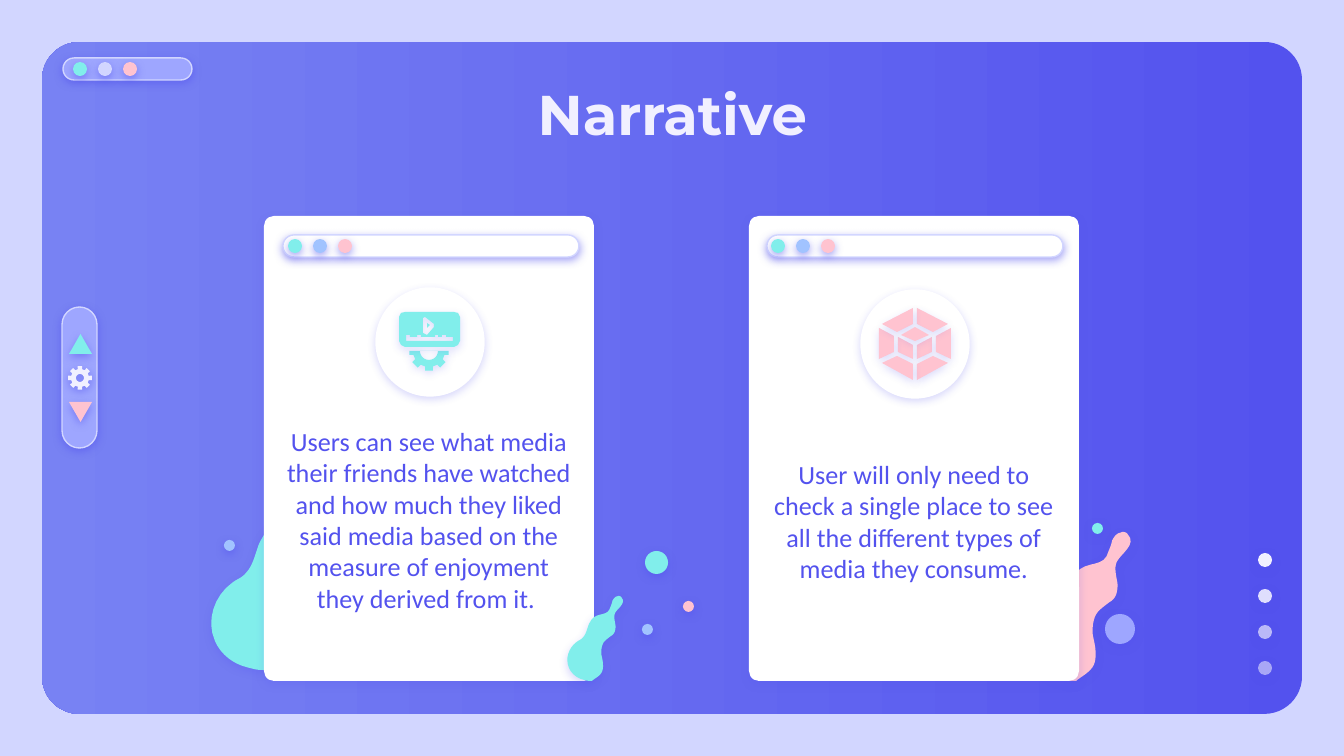
import math

from lxml import etree
from pptx import Presentation
from pptx import util as u
from pptx.dml.color import RGBColor
from pptx.enum import shapes, text
from pptx.oxml.ns import qn

PX = 914400 / 134.4
INDIGO = RGBColor(0x53, 0x52, 0xEE)
PERIWINKLE = RGBColor(0x78, 0x82, 0xF3)
LILAC = RGBColor(0x9E, 0xA6, 0xFF)
PALE = RGBColor(0xD2, 0xD6, 0xFF)
MINT = RGBColor(0x81, 0xEE, 0xEB)
PINK = RGBColor(0xFF, 0xC3, 0xD0)
SKY = RGBColor(0xA1, 0xC3, 0xFF)
IVORY = RGBColor(0xF1, 0xF0, 0xFF)
WHITE = RGBColor(0xFF, 0xFF, 0xFF)
ROUND = shapes.MSO_SHAPE.ROUNDED_RECTANGLE
OVAL = shapes.MSO_SHAPE.OVAL
TRIANGLE = shapes.MSO_SHAPE.ISOSCELES_TRIANGLE

prs = Presentation()
prs.slide_width, prs.slide_height = u.Emu(round(1344 * PX)), u.Emu(round(756 * PX))
s = prs.slides.add_slide(prs.slide_layouts[6])
s.background.fill.solid()
s.background.fill.fore_color.rgb = PALE


def draw(kind, box, fill, line=None, shadow=50, alpha=100):
    """Add a preset shape with a soft indigo shadow; shadow and alpha are percentages."""
    return finish(s.shapes.add_shape(kind, *(round(v * PX) for v in box)), fill, line, shadow, alpha)


def finish(sp, fill, line=None, shadow=20, alpha=100):
    sp.shadow.inherit = False
    sp.fill.solid()
    sp.fill.fore_color.rgb = fill
    if alpha < 100:
        color = sp.fill._xPr.find(qn("a:solidFill"))[0]
        etree.SubElement(color, qn("a:alpha"), val=str(alpha * 1000))
    if line is None:
        sp.line.fill.background()
    else:
        sp.line.color.rgb = line
        sp.line.width = u.Pt(0.75)
    if shadow:
        effects = sp._element.spPr.find(qn("a:effectLst"))
        outer = etree.SubElement(effects, qn("a:outerShdw"), blurRad=str(u.Pt(4.5)),
                                 dist=str(u.Pt(1.5)), dir="5400000", algn="bl", rotWithShape="0")
        color = etree.SubElement(outer, qn("a:srgbClr"), val=str(INDIGO))
        etree.SubElement(color, qn("a:alpha"), val=str(shadow * 1000))
    return sp


# Window panel
panel = draw(ROUND, (42, 42, 1260, 672), INDIGO, shadow=0)
panel.adjustments[0] = 0.056
panel.fill.gradient()
panel.fill.gradient_angle = 180
for stop, color in zip(panel.fill.gradient_stops, (INDIGO, PERIWINKLE)):
    stop.color.rgb = color

# Page dots
for i, alpha in enumerate((100, 89, 66, 54)):
    draw(OVAL, (1258, 553 + 36 * i, 14, 14), IVORY, alpha=alpha)

# Splash outline in a 138 x 190 box: a start, then cubic segments
splash_start = (120, 0)
splash_curves = [
    (122, 0, 125, 1, 126, 3), (138, 16, 117, 28, 112, 38), (108, 47, 112, 58, 113, 67),
    (113, 75, 112, 85, 102, 90), (97, 94, 91, 98, 87, 103), (82, 110, 81, 120, 81, 129),
    (82, 136, 85, 145, 85, 155), (85, 160, 85, 169, 79, 175), (74, 181, 66, 185, 60, 190),
    (59, 190, 57, 190, 55, 190), (50, 190, 44, 188, 40, 187), (28, 184, 15, 175, 9, 161),
    (0, 141, 8, 116, 26, 103), (31, 99, 36, 98, 40, 93), (48, 85, 50, 70, 54, 62),
    (66, 34, 90, 47, 99, 31), (102, 23, 105, 17, 106, 11), (108, 7, 112, 1, 117, 1),
    (118, 0, 120, 0, 120, 0),
]
splash = [splash_start]
for x1, y1, x2, y2, x3, y3 in splash_curves:
    x0, y0 = splash[-1]
    for t in (i / 8 for i in range(1, 9)):
        w = ((1 - t) ** 3, 3 * t * (1 - t) ** 2, 3 * t * t * (1 - t), t ** 3)
        splash.append((w[0] * x0 + w[1] * x1 + w[2] * x2 + w[3] * x3,
                       w[0] * y0 + w[1] * y1 + w[2] * y2 + w[3] * y3))

# Splashes, each followed by the card that stands in front of it
for left, top, height, color, card_left in (
        (206, 480, 190, MINT, 264), (1029, 532, 149, PINK, 749), (565, 596, 85, MINT, None)):
    k = height / 190
    points = [(round((left + k * x) * PX), round((top + k * y) * PX)) for x, y in splash]
    builder = s.shapes.build_freeform(*points[0])
    builder.add_line_segments(points[1:])
    finish(builder.convert_to_shape(), color, shadow=22)
    if card_left:
        card = draw(ROUND, (card_left, 216, 330, 465), WHITE, shadow=18)
        card.adjustments[0] = 0.03

# Loose drops
for x, y, size, color in (
        (224, 540, 11, SKY), (642, 624, 11, SKY), (645, 551, 23, MINT),
        (683, 601, 11, PINK), (1105, 614, 30, LILAC), (1092, 523, 11, MINT)):
    draw(OVAL, (x, y, size, size), color)

# Title and card texts
for box, words, font, size, color, bold, anchor in (
        ((106, 66, 1133, 85), "Narrative", "Montserrat", 30, IVORY, True, text.MSO_ANCHOR.TOP),
        ((758, 422, 312, 198),
         "User will only need to check a single place to see all the different types of media "
         "they consume.", "Calibri", 14, INDIGO, False, text.MSO_ANCHOR.MIDDLE),
        ((273, 418, 312, 203),
         "Users can see what media their friends have watched and how much they liked said media "
         "based on the measure of enjoyment they derived from it. ",
         "Calibri", 14, INDIGO, False, text.MSO_ANCHOR.MIDDLE)):
    sp = s.shapes.add_textbox(*(round(v * PX) for v in box))
    tf = sp.text_frame
    tf.word_wrap = True
    tf.vertical_anchor = anchor
    tf.margin_left = tf.margin_right = tf.margin_top = tf.margin_bottom = u.Inches(0.1)
    p = tf.paragraphs[0]
    p.text = words
    p.alignment = text.PP_ALIGN.CENTER
    p.font.name, p.font.size, p.font.bold = font, u.Pt(size), bold
    p.font.color.rgb = color

# Icon discs
for x, y in ((376, 288), (861, 290)):
    draw(OVAL, (x, y, 108, 108), WHITE, WHITE, shadow=22)

# Window bars with three buttons
for x, y, width, fill, first, middle in (
        (63, 58, 129, LILAC, 73, PALE), (283, 235, 296, WHITE, 288, SKY),
        (767, 235, 296, WHITE, 771, SKY)):
    draw(ROUND, (x, y, width, 22), fill, PALE).adjustments[0] = 0.5
    for i, color in enumerate((MINT, middle, PINK)):
        draw(OVAL, (first + 25 * i, y + 4, 14, 14), color)

# Side control
draw(ROUND, (62, 307, 35, 141), LILAC, PALE).adjustments[0] = 0.5
draw(TRIANGLE, (69, 334, 23, 20), MINT)
draw(TRIANGLE, (69, 402, 23, 20), PINK).rotation = 180

# Icons: lists of contours, where an inner contour cuts a hole
icons = []
for cx, cy, outer, body, hole, half, color, shadow in (
        (80, 378, 12, 9, 4, False, IVORY, 52), (429, 351, 20, 16, 9, True, MINT, 20)):
    rim = [(r, 45 * tooth + a) for tooth in range(8)
           for r, a in ((body, -14), (outer, -11), (outer, 11), (body, 14))]
    bore = [(hole, a) for a in range(0, 360, 15)]
    contours = [[(cx + r * math.cos(math.radians(a)), cy + r * math.sin(math.radians(a)))
                 for r, a in ring] for ring in (rim, bore)]
    if half:
        contours = [[(x, max(y, cy)) for x, y in ring] for ring in contours]
    icons.append((contours, color, shadow))

board = [(399, 317), (401, 313), (405, 312), (454, 312), (458, 313), (460, 317),
         (460, 341), (458, 345), (454, 347), (405, 347), (401, 345), (399, 341)]
play_rim = [(423, 318), (425, 317), (434, 324), (434, 327), (427, 335), (423, 333)]
play = [(427, 323), (427, 328), (430, 325)]
timeline = [(406, 341)]
for left, right in ((406, 410), (417, 421), (435, 438), (442, 446)):
    timeline += [(left, 337), (left, 335), (right, 335), (right, 337)]
timeline += [(453, 337), (453, 341)]
icons.append(([board, play_rim, play, timeline], MINT, 20))

# Crystal: right-hand facets as offsets from the axis, mirrored to the left
axis = 915
facets = [
    [(17, 337), (2, 345), (2, 359), (17, 352)],
    [(36, 328), (21, 336), (21, 352), (36, 359)],
    [(18, 356), (2, 364), (2, 380), (33, 363)],
    [(2, 308), (2, 324), (18, 332), (33, 324)],
]
for facet in facets:
    for side in (1, -1):
        icons.append(([[(axis + side * x, y) for x, y in facet]], PINK, 20))
icons.append(([[(axis - 14, 335), (axis, 327), (axis + 14, 335), (axis, 341)]], PINK, 20))

for contours, color, shadow in icons:
    builder = None
    for contour in contours:
        points = [(round(x * PX), round(y * PX)) for x, y in contour]
        if builder is None:
            builder = s.shapes.build_freeform(*points[0])
        else:
            builder.move_to(*points[0])
        builder.add_line_segments(points[1:])
    finish(builder.convert_to_shape(), color, shadow=shadow)

prs.save("out.pptx")
